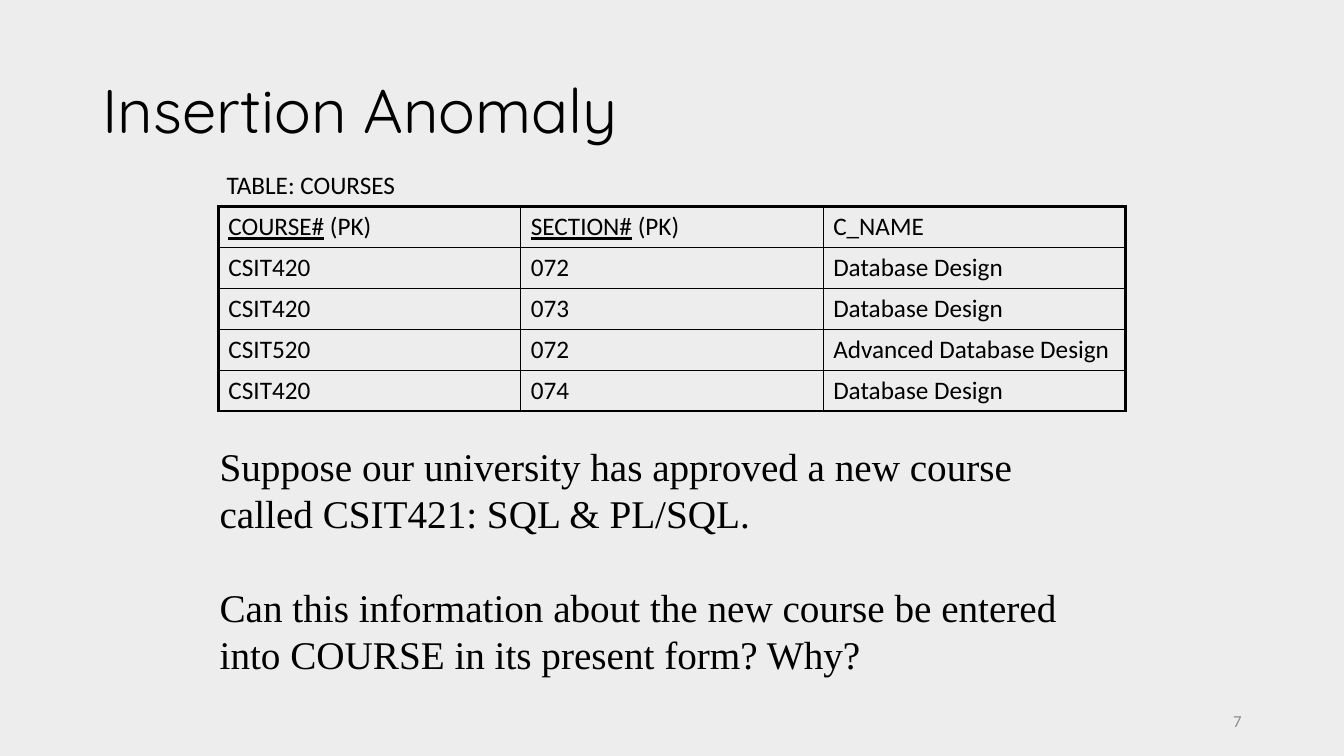
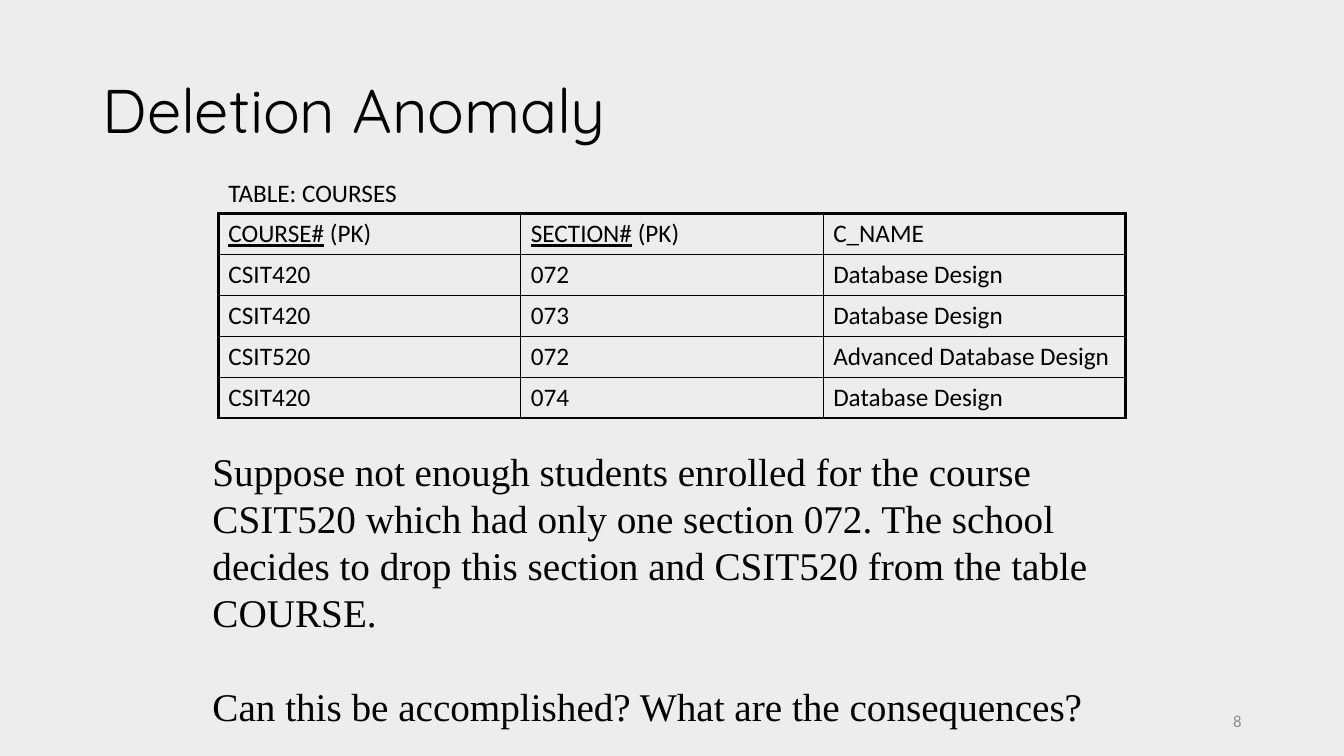
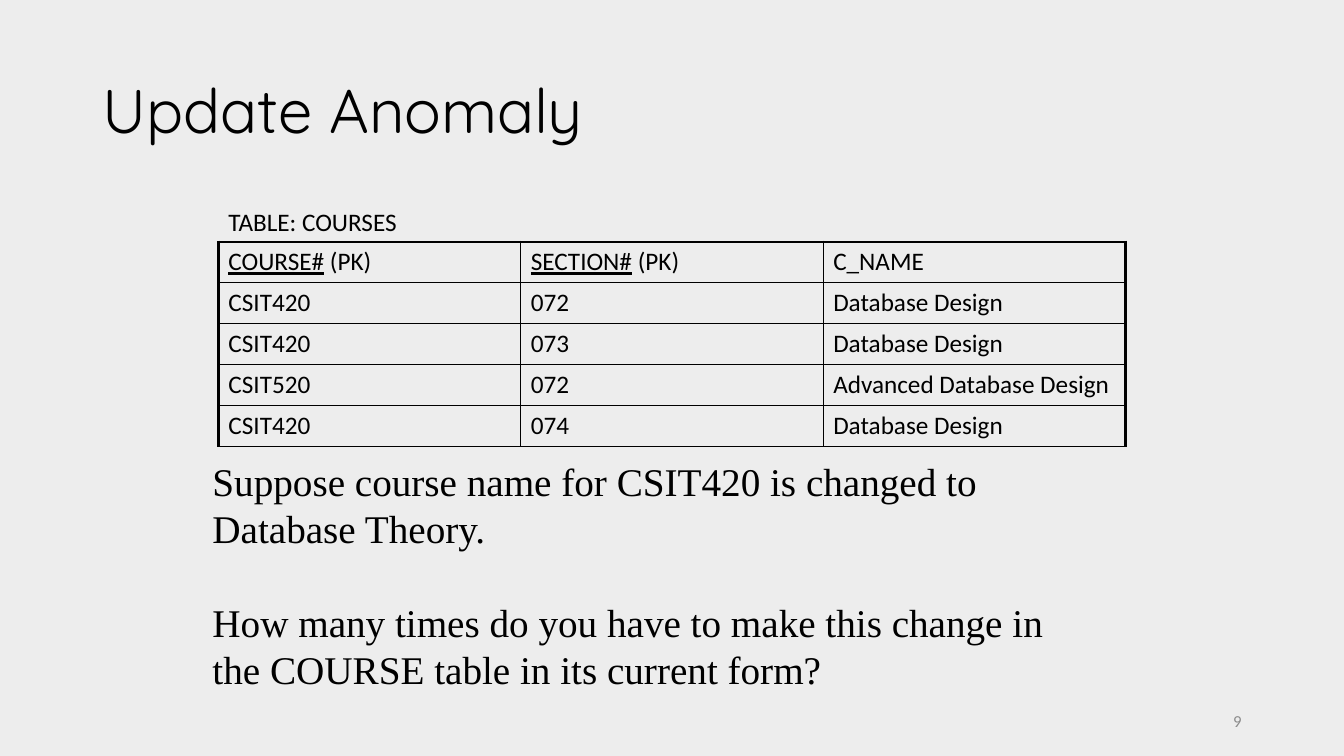
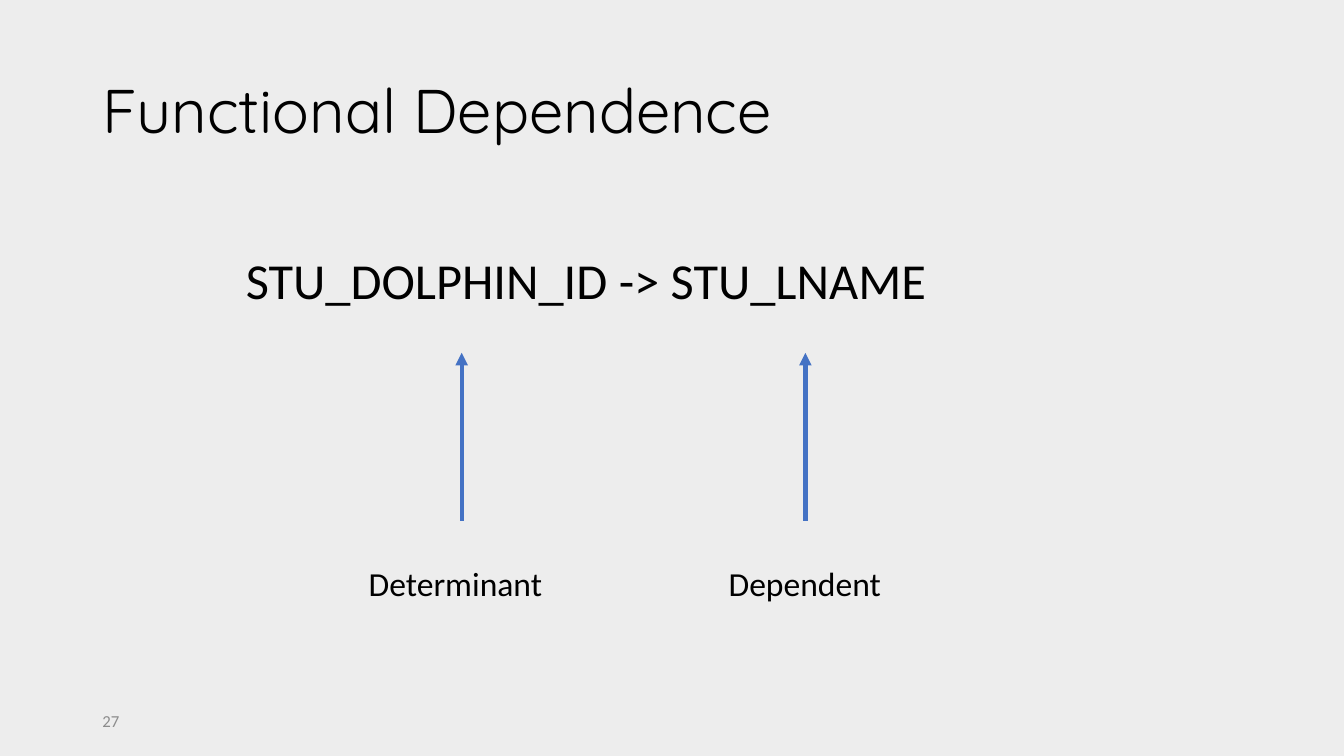
from lxml import etree
from pptx import Presentation
from pptx.dml.color import RGBColor
from pptx.enum.shapes import MSO_CONNECTOR
from pptx.enum.text import MSO_ANCHOR, PP_ALIGN
from pptx.oxml.ns import qn
from pptx.util import Pt

LEFT, RIGHT = PP_ALIGN.LEFT, PP_ALIGN.RIGHT
TOP, MIDDLE = MSO_ANCHOR.TOP, MSO_ANCHOR.MIDDLE
STRAIGHT = MSO_CONNECTOR.STRAIGHT

BACKGROUND = RGBColor(0xED, 0xED, 0xED)
BLACK = RGBColor(0x00, 0x00, 0x00)
GRAY = RGBColor(0x8C, 0x8C, 0x8C)
BLUE = RGBColor(0x44, 0x72, 0xC4)
TITLE_FONT, TABLE_FONT, BODY_FONT = "Quicksand", "Calibri", "Times New Roman"

ROW_HEIGHT, COL_WIDTH = 29.2, 216
THIN, THICK = 1, 2.25

COURSES = [
    ("COURSE# (PK)", "SECTION# (PK)", "C_NAME"),
    ("CSIT420", "072", "Database Design"),
    ("CSIT420", "073", "Database Design"),
    ("CSIT520", "072", "Advanced Database Design"),
    ("CSIT420", "074", "Database Design"),
]

# title, table top, caption left and top, body box, body paragraphs
ANOMALIES = [
    ("Insertion Anomaly", 147.6, (154.8, 117.4), (149.8, 312.5, 653.8),
     ["Suppose our university has approved a new course called "
      "CSIT421: SQL & PL/SQL.",
      "Can this information about the new course be entered into COURSE "
      "in its present form? Why?"]),
    ("Deletion Anomaly", 152.6, (156, 123.1), (144.7, 316.1, 684),
     ["Suppose not enough students enrolled for the course CSIT520 which had "
      "only one section 072. The school decides to drop this section and "
      "CSIT520 from the table COURSE.",
      "Can this be accomplished? What are the consequences?"]),
    ("Update Anomaly", 172.8, (156, 144), (144.7, 323.3, 648),
     ["Suppose course name for CSIT420 is changed to Database Theory.",
      "How many times do you have to make this change in the COURSE table "
      "in its current form?"]),
]


def add_text(s, box, paragraphs, font, size, color=BLACK, align=LEFT,
             anchor=TOP, wrap=True, gap=0):
    tf = s.shapes.add_textbox(*[Pt(v) for v in box]).text_frame
    tf.word_wrap = wrap
    tf.vertical_anchor = anchor
    for i, text in enumerate(paragraphs):
        p = tf.add_paragraph() if i else tf.paragraphs[0]
        p.alignment = align
        p.space_before = Pt(gap if i else 0)
        r = p.add_run()
        r.text = text
        r.font.name, r.font.size = font, Pt(size)
        r.font.color.rgb = color


def add_slide(title, number, number_left, number_align):
    s = prs.slides.add_slide(layout)
    tf = s.shapes.title.text_frame
    tf.vertical_anchor = MIDDLE
    p = tf.paragraphs[0]
    p.alignment = LEFT
    p.line_spacing = 0.9
    r = p.add_run()
    r.text = title
    r.font.name, r.font.size = TITLE_FONT, Pt(44)
    r.font.color.rgb = BLACK
    add_text(s, (number_left, 500.5, 216, 28.8), [number], TABLE_FONT, 12,
             GRAY, number_align, MIDDLE)
    return s


# Shared page, background and title position
prs = Presentation()
prs.slide_width, prs.slide_height = Pt(960), Pt(540)
fill = prs.slide_master.background.fill
fill.solid()
fill.fore_color.rgb = BACKGROUND
layout = prs.slide_layouts[5]
title_box = layout.placeholders[0]
title_box.left, title_box.top = Pt(66), Pt(28.75)
title_box.width, title_box.height = Pt(828), Pt(104.4)

# Anomaly slides
for number, (title, table_top, caption, body, paragraphs) in enumerate(ANOMALIES, 7):
    s = add_slide(title, str(number), 678, RIGHT)

    # Course table
    rows, cols = len(COURSES), len(COURSES[0])
    table = s.shapes.add_table(rows, cols, Pt(156), Pt(table_top),
                               Pt(COL_WIDTH * cols), Pt(ROW_HEIGHT * rows)).table
    table.first_row = table.horz_banding = False
    for i, values in enumerate(COURSES):
        table.rows[i].height = Pt(ROW_HEIGHT)
        for j, value in enumerate(values):
            cell = table.cell(i, j)
            tcPr = cell._tc.get_or_add_tcPr()
            borders = {
                "a:lnL": THICK if j == 0 else THIN,
                "a:lnR": THICK if j == cols - 1 else THIN,
                "a:lnT": THICK if i == 0 else THIN,
                "a:lnB": THIN,
            }
            for tag, width in borders.items():
                ln = etree.SubElement(tcPr, qn(tag), w=str(Pt(width)))
                solid = etree.SubElement(ln, qn("a:solidFill"))
                etree.SubElement(solid, qn("a:srgbClr"), val=str(BLACK))
            cell.fill.background()

            # Key column names are underlined
            name, key, suffix = value.partition(" (PK)")
            p = cell.text_frame.paragraphs[0]
            for text in filter(None, (name, key + suffix)):
                r = p.add_run()
                r.text = text
                r.font.name, r.font.size = TABLE_FONT, Pt(18)
                r.font.color.rgb = BLACK
                r.font.underline = bool(key) and text == name

    # Body text and table caption
    add_text(s, (*body, 177), paragraphs, BODY_FONT, 28, gap=33.6)
    add_text(s, (*caption, 360, 29), ["TABLE: COURSES"], TABLE_FONT, 18)

# Functional dependence slide
s = add_slide("Functional Dependence", "27", 66, LEFT)
add_text(s, (168.5, 174.2, 505.4, 51), ["STU_DOLPHIN_ID -> STU_LNAME"],
         TABLE_FONT, 36, wrap=False)

# Labelled arrows
for label, arrow_x, label_left, label_width in [
    ("Determinant", 329.8, 256.3, 139.7),
    ("Dependent", 575.3, 513.4, 124.6),
]:
    arrow = s.shapes.add_connector(STRAIGHT, Pt(arrow_x), Pt(372),
                                   Pt(arrow_x), Pt(252))
    arrow.line.color.rgb = BLUE
    arrow.line.width = Pt(3)
    etree.SubElement(arrow.line._get_or_add_ln(), qn("a:tailEnd"), type="triangle")
    etree.SubElement(arrow._element.spPr, qn("a:effectLst"))
    add_text(s, (label_left, 398.9, label_width, 36), [label], TABLE_FONT, 24,
             wrap=False)

prs.save("out.pptx")
